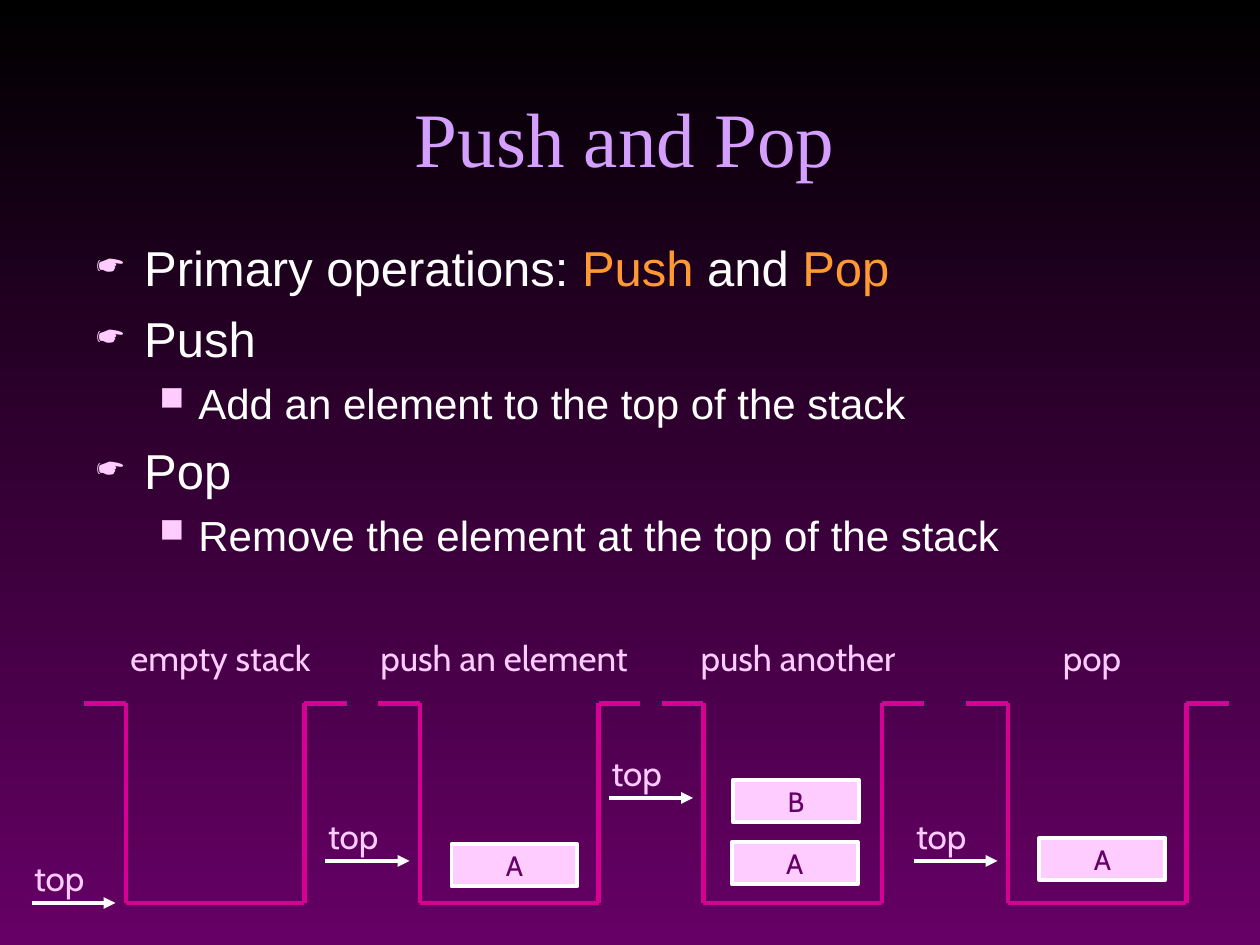
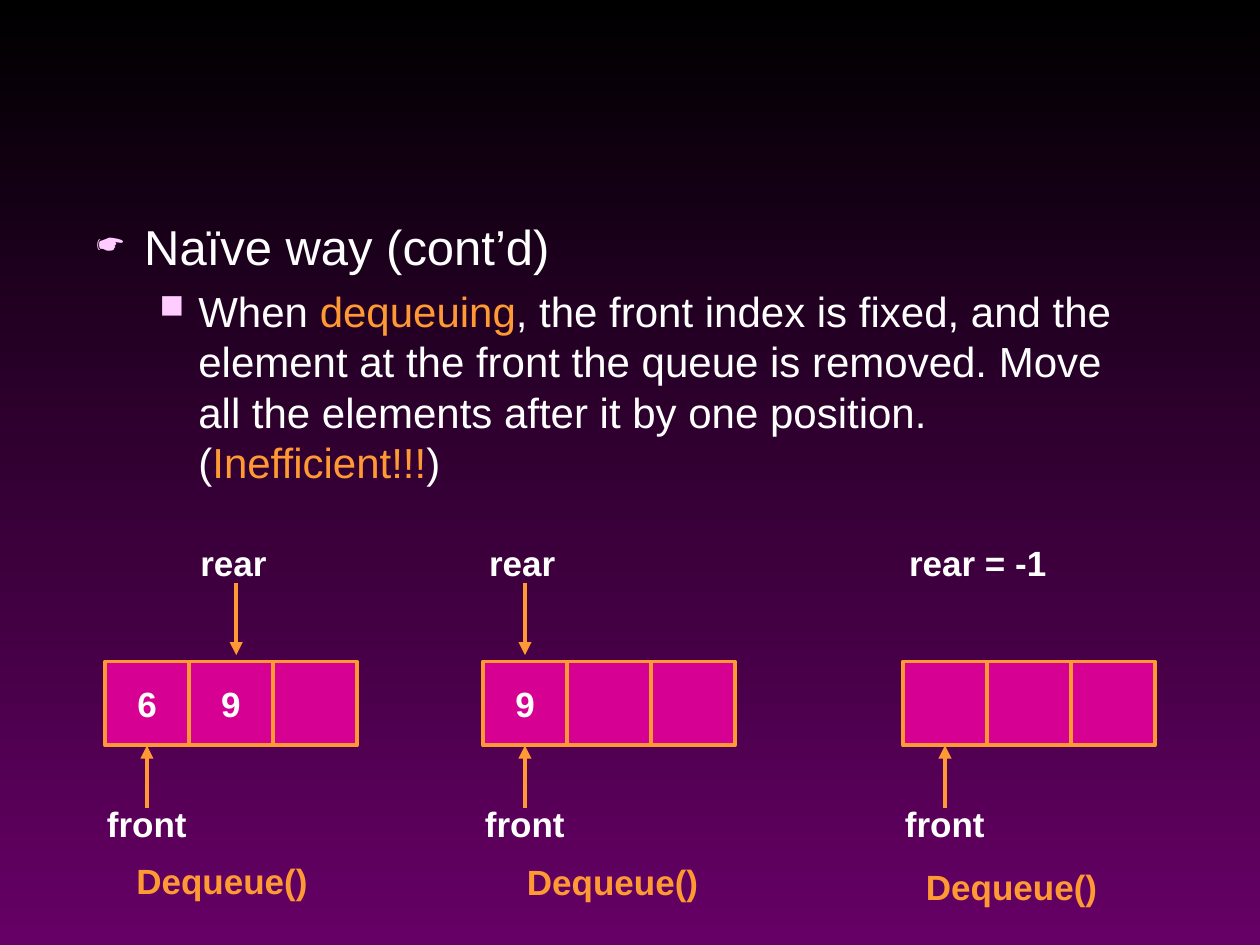
from pptx import Presentation
from pptx.dml.color import RGBColor
from pptx.enum.shapes import MSO_CONNECTOR, MSO_SHAPE
from pptx.enum.text import MSO_ANCHOR, PP_ALIGN
from pptx.oxml.ns import qn
from pptx.util import Inches, Pt
from lxml import etree

RECT, STRAIGHT = MSO_SHAPE.RECTANGLE, MSO_CONNECTOR.STRAIGHT
LEFT, CENTER = PP_ALIGN.LEFT, PP_ALIGN.CENTER
TOP, MIDDLE, BOTTOM = MSO_ANCHOR.TOP, MSO_ANCHOR.MIDDLE, MSO_ANCHOR.BOTTOM

COLS, ROWS = 120, 90  # grid of twelfths of an inch
BLACK, PURPLE, LILAC, PINK = "000000", "660066", "D49FFF", "FFCCFF"
MAGENTA, ORANGE, WHITE = "D60093", "FF9933", "FFFFFF"
SANS, SERIF, LABEL = "Arial", "Times New Roman", "Cabin"

# level: bullet, bullet size %, left margin, hanging indent, space before, text size
LEVELS = [("☛", 75, 0.38, 0.38, 7, 28), ("■", 80, 0.81, 0.31, 6, 24)]

RIM, WELL_W, WELL_TOP, WELL_BOTTOM = 4, 17, 67, 86
CELL, QUEUE_TOP = 8, 63


def grid(n):
    return Inches(n / 12)


def rgb(color):
    return RGBColor.from_string(color)


def add_run(p, text, size, color, font, bold=False):
    r = p.add_run()
    r.text = text
    r.font.size, r.font.name, r.font.bold = Pt(size), font, bold
    r.font.color.rgb = rgb(color)


def add_text(s, text, x, y, w, h, size, color, font,
             align=LEFT, anchor=TOP, bold=False, wrap=True):
    tf = s.shapes.add_textbox(grid(x), grid(y), grid(w), grid(h)).text_frame
    tf.word_wrap, tf.vertical_anchor = wrap, anchor
    p = tf.paragraphs[0]
    p.alignment = align
    add_run(p, text, size, color, font, bold)


def add_label(s, text, center, y, width):
    add_text(s, text, center - width / 2, y, width, 5.25, 20, PINK, LABEL,
             align=CENTER, wrap=False)


def add_note(s, text, x, y, width, color=WHITE):
    add_text(s, text, x, y, width, 5.25, 20, color, SANS, bold=True)


def set_bullet(p, char, percent, margin, hanging):
    pPr = p._p.get_or_add_pPr()
    pPr.set("marL", str(Inches(margin)))
    pPr.set("indent", str(-Inches(hanging)))
    color = etree.SubElement(pPr, qn("a:buClr"))
    etree.SubElement(color, qn("a:srgbClr"), val=PINK)
    etree.SubElement(pPr, qn("a:buSzPct"), val=str(percent * 1000))
    etree.SubElement(pPr, qn("a:buChar"), char=char)


def add_body(s, y, h, items):
    """Each item is a level followed by its runs; every second run is orange."""
    tf = s.shapes.add_textbox(grid(8), grid(y), grid(103), grid(h)).text_frame
    tf.word_wrap = True
    for i, (level, *runs) in enumerate(items):
        char, percent, margin, hanging, before, size = LEVELS[level]
        p = tf.add_paragraph() if i else tf.paragraphs[0]
        p.level = level
        set_bullet(p, char, percent, margin, hanging)
        if i:
            p.space_before = Pt(before)
        for j, text in enumerate(runs):
            add_run(p, text, size, ORANGE if j % 2 else WHITE, SANS)


def add_line(s, start, end, color, width, arrow=False):
    c = s.shapes.add_connector(STRAIGHT, *map(grid, (*start, *end)))
    c.line.color.rgb, c.line.width = rgb(color), Pt(width)
    if arrow:
        etree.SubElement(c.line._get_or_add_ln(), qn("a:tailEnd"), type="triangle")
    etree.SubElement(c._element.spPr, qn("a:effectLst"))


def add_box(s, text, x, y, w, h, fill, line, size, color, font, bold=False):
    sp = s.shapes.add_shape(RECT, grid(x), grid(y), grid(w), grid(h))
    sp.shadow.inherit = False
    sp.fill.solid()
    sp.fill.fore_color.rgb = rgb(fill)
    sp.line.color.rgb, sp.line.width = rgb(line), Pt(2.25)
    if text:
        tf = sp.text_frame
        tf.margin_top = tf.margin_bottom = 0
        tf.vertical_anchor = MIDDLE
        tf.paragraphs[0].alignment = CENTER
        add_run(tf.paragraphs[0], text, size, color, font, bold)


def add_stack(s, caption, center, width, x, top, elements):
    """Open well starting at column x, with the top pointer at row top."""
    left, right = x + RIM, x + RIM + WELL_W
    outline = [(x, WELL_TOP), (left, WELL_TOP), (left, WELL_BOTTOM),
               (right, WELL_BOTTOM), (right, WELL_TOP), (right + RIM, WELL_TOP)]
    for start, end in zip(outline, outline[1:]):
        add_line(s, start, end, MAGENTA, 2.5)
    add_label(s, caption, center, 60, width)
    add_line(s, (x - 5, top), (x + 3, top), WHITE, 2.25, arrow=True)
    add_label(s, "top", x - 2.35, top - 5, 7.7)
    for name, ex, ey in elements:
        add_box(s, name, ex, ey, 12, 4, PINK, WHITE, 16, PURPLE, LABEL)


def add_queue(s, x, values, rear, rear_x, call_x, call_y):
    for i, value in enumerate(values):
        add_box(s, value, x + i * CELL, QUEUE_TOP, CELL, CELL, MAGENTA, ORANGE,
                20, WHITE, SANS, bold=True)
    add_note(s, rear, rear_x - 4.6, 51, 15.6)
    if any(values):
        add_line(s, (rear_x, 55.5), (rear_x, 62.4), ORANGE, 2.5, arrow=True)
    add_note(s, "front", x - 1, 75.8, 13)
    front_x = x + CELL / 2
    add_line(s, (front_x, 77), (front_x, QUEUE_TOP + CELL), ORANGE, 2.5, arrow=True)
    add_note(s, "Dequeue()", call_x, call_y, 23.2, ORANGE)


def set_background(master):
    fill = master.background.fill
    fill.gradient()
    fill.gradient_angle = 270
    for stop, position, color in zip(fill.gradient_stops, (0, 1), (BLACK, PURPLE)):
        stop.position, stop.color.rgb = position, rgb(color)


def build_stack_slide(s):
    add_text(s, "Push and Pop", 8, 3, 103, 15, 44, LILAC, SERIF,
             align=CENTER, anchor=BOTTOM)
    add_body(s, 22, 54, [
        (0, "Primary operations: ", "Push", " and ", "Pop"),
        (0, "Push"),
        (1, "Add an element to the top of the stack"),
        (0, "Pop"),
        (1, "Remove the element at the top of the stack"),
    ])
    add_stack(s, "empty stack", 21, 21.2, 8, 86, [])
    add_stack(s, "push an element", 48, 28.7, 36, 82, [("A", 43, 80.4)])
    add_stack(s, "push another", 76, 23.5, 63, 76,
              [("A", 69.7, 80.2), ("B", 69.8, 74.3)])
    add_stack(s, "pop", 104, 8.5, 92, 82, [("A", 99, 79.8)])


def build_queue_slide(s):
    add_body(s, 20, 30, [
        (0, "Naïve way (cont’d)"),
        (1, "When ", "dequeuing",
         ", the front index is fixed, and the element at the front the queue is "
         "removed. Move all the elements after it by one position. (",
         "Inefficient!!!", ")"),
    ])
    add_queue(s, 10, ("6", "9", ""), "rear", 22.5, 11.8, 81.3)
    add_queue(s, 46, ("9", "", ""), "rear", 50, 49, 81.4)
    add_queue(s, 86, ("", "", ""), "rear = -1", 90, 87, 81.8)


def main():
    prs = Presentation()
    prs.slide_width, prs.slide_height = grid(COLS), grid(ROWS)
    set_background(prs.slide_master)
    for build in (build_stack_slide, build_queue_slide):
        build(prs.slides.add_slide(prs.slide_layouts[6]))
    prs.save("out.pptx")


if __name__ == "__main__":
    main()
